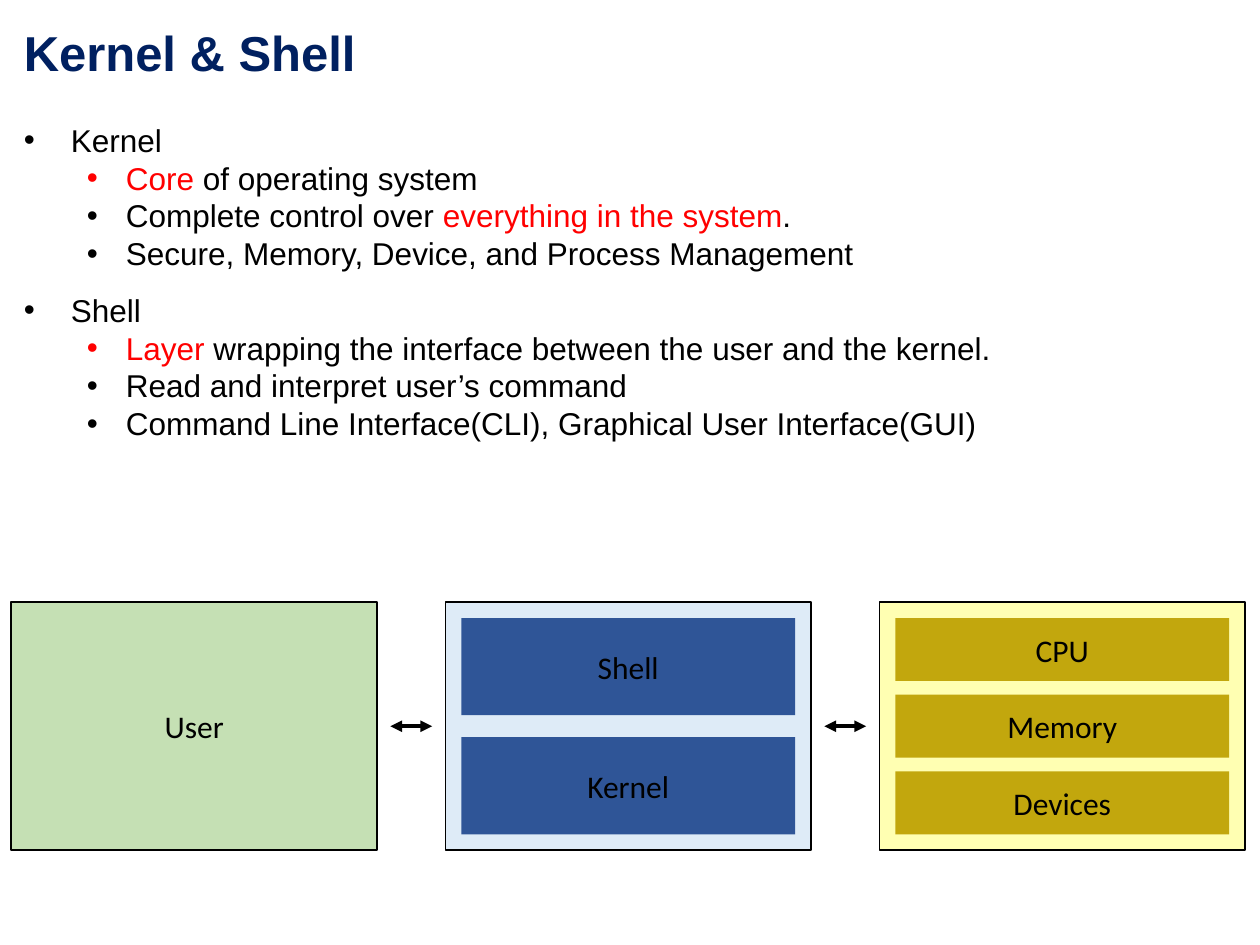
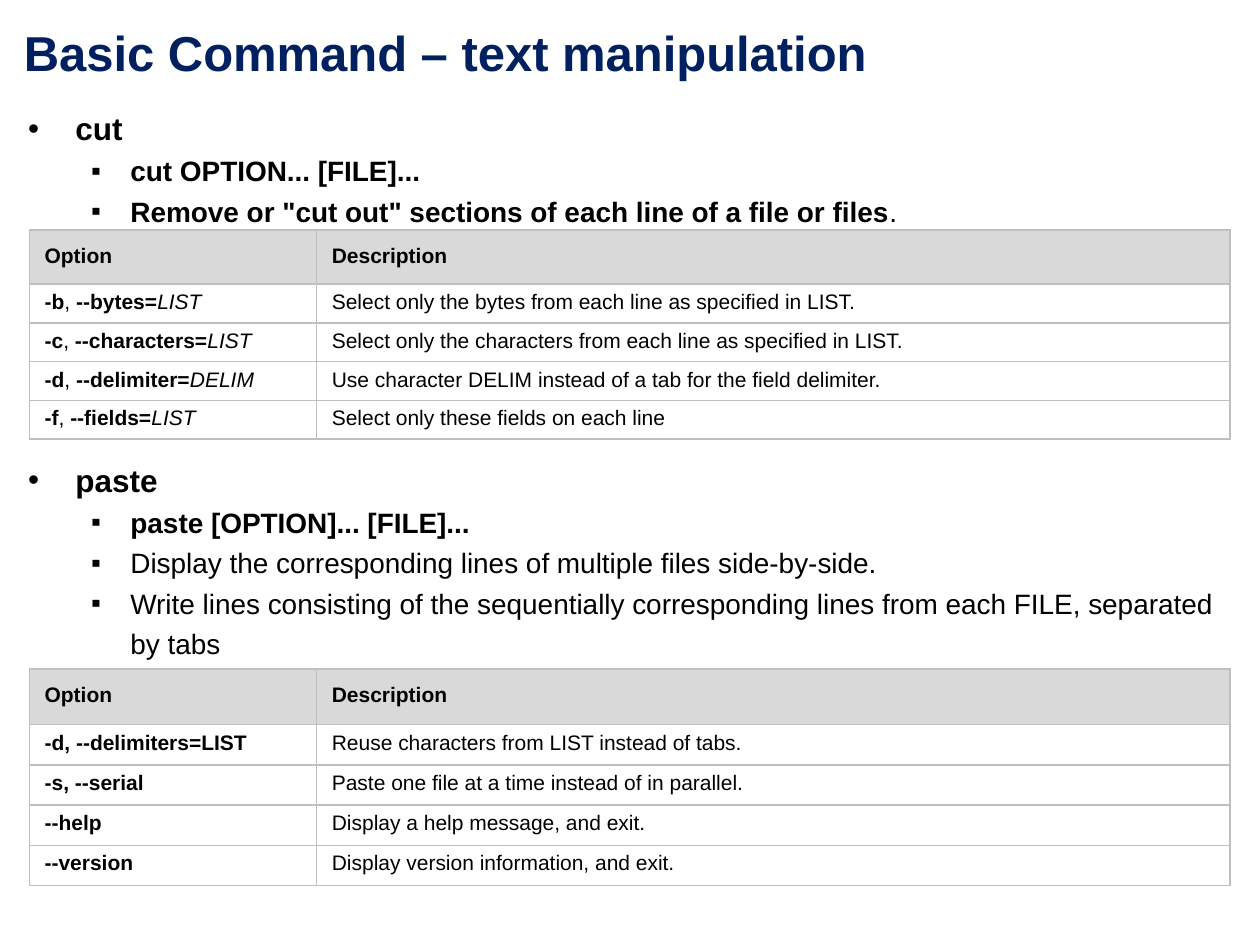
from lxml.etree import SubElement as Sub
from pptx import Presentation
from pptx.dml.color import RGBColor as Rgb
from pptx.enum.shapes import MSO_CONNECTOR as Line, MSO_SHAPE as Shape
from pptx.enum.text import MSO_ANCHOR as Anchor, PP_ALIGN as Align
from pptx.oxml.ns import qn
from pptx.util import Cm, Pt

# Content: a run is a string, or (string, marks) with b bold, i italic, r red
KERNEL = [
    (0, ["Kernel"]),
    (1, [("Core", "r"), " of operating system"]),
    (1, ["Complete control over ", ("everything in the system", "r"), "."]),
    (1, ["Secure, Memory, Device, and Process Management"]),
    (0, ["Shell"]),
    (1, [("Layer", "r"), " wrapping the interface between the user and the kernel."]),
    (1, ["Read and interpret user’s command"]),
    (1, ["Command Line Interface(CLI), Graphical User Interface(GUI)"]),
]
PANELS = [  # name, panel colour, part colour, part height, parts
    ("User", "green", None, 0, []),
    ("", "pale", "blue", 1.96, ["Shell", "Kernel"]),
    ("", "cream", "gold", 1.27, ["CPU", "Memory", "Devices"]),
]
COMMANDS = [
    (0, [("cut", "b")]),
    (1, [("cut OPTION... [FILE]...", "b")]),
    (1, [('Remove or "cut out" sections of each line of a file or files', "b"), "."]),
    (0, [("paste", "b")]),
    (1, [("paste [OPTION]... [FILE]...", "b")]),
    (1, ["Display the corresponding lines of multiple files side-by-side."]),
    (1, ["Write lines consisting of the sequentially corresponding lines "
         "from each FILE, separated by tabs"]),
]
HEAD = ([("Option", "b")], "Description")
CUT = [([(short, "b"), ", ", (long, "b"), (arg, "i")], note)
       for short, long, arg, note in [
    ("-b", "--bytes=", "LIST",
     "Select only the bytes from each line as specified in LIST."),
    ("-c", "--characters=", "LIST",
     "Select only the characters from each line as specified in LIST."),
    ("-d", "--delimiter=", "DELIM",
     "Use character DELIM instead of a tab for the field delimiter."),
    ("-f", "--fields=", "LIST", "Select only these fields on each line"),
]]
PASTE = [([(option, "b")], note) for option, note in [
    ("-d, --delimiters=LIST", "Reuse characters from LIST instead of tabs."),
    ("-s, --serial", "Paste one file at a time instead of in parallel."),
    ("--help", "Display a help message, and exit."),
    ("--version", "Display version information, and exit."),
]]

# Shared look
HUES = {"title": "002060", "text": "000000", "red": "FF0000", "green": "C5E0B4",
        "pale": "DEEBF7", "blue": "2F5597", "cream": "FFFFB2", "gold": "C2A70D",
        "grid": "BFBFBF", "head": "D9D9D9"}
INDENTS = [(0.95, 0.95), (2.06, 0.79)]  # left margin and hang of each level


def hue(name):
    return Rgb.from_string(HUES[name])


def write(para, runs, size=18, font="Arial", color="text", bold=False,
          align=None, space=None, before=None, mark=None, level=0):
    """Fill one paragraph with runs in the given format."""
    if mark:
        left, hang = INDENTS[level]
        para.level = level
        prop = para._p.get_or_add_pPr()
        prop.set("marL", str(Cm(left)))
        prop.set("indent", str(-Cm(hang)))
        Sub(prop, qn("a:buFont"), typeface="Arial")
        Sub(prop, qn("a:buChar"), char=mark)
    if align is not None:
        para.alignment = align
    if space:
        para.line_spacing = space
    if before:
        para.space_before = Pt(before)
    for item in [runs] if isinstance(runs, str) else runs:
        text, flags = (item, "") if isinstance(item, str) else item
        run = para.add_run()
        run.text = text
        run.font.size, run.font.name = Pt(size), font
        run.font.bold, run.font.italic = bold or "b" in flags, "i" in flags
        run.font.color.rgb = hue("red" if "r" in flags else color)


def frame(slide, x, y, w, h):
    body = slide.shapes.add_textbox(Cm(x), Cm(y), Cm(w), Cm(h)).text_frame
    body.word_wrap = True
    return body


def start(deck, title):
    slide = deck.slides.add_slide(deck.slide_layouts[6])
    write(frame(slide, 0.23, 0.33, 20.12, 1.45).paragraphs[0], title,
          size=28, color="title", bold=True)
    return slide


def outline(body, items, marks, sizes, spaces, before=None):
    for i, (level, runs) in enumerate(items):
        para = body.add_paragraph() if i else body.paragraphs[0]
        write(para, runs, size=sizes[level], space=spaces[level], level=level,
              mark=marks[level], before=before if i and not level else None)


def block(slide, x, y, w, h, fill, text="", edge=False):
    box = slide.shapes.add_shape(Shape.RECTANGLE, Cm(x), Cm(y), Cm(w), Cm(h))
    box.shadow.inherit = False
    box.fill.solid()
    box.fill.fore_color.rgb = hue(fill)
    if edge:
        box.line.color.rgb, box.line.width = hue("text"), Pt(1)
    else:
        box.line.fill.background()
    if text:
        box.text_frame.vertical_anchor = Anchor.MIDDLE
        write(box.text_frame.paragraphs[0], text, font="Calibri", align=Align.CENTER)


def arrow(slide, x, y, length):
    link = slide.shapes.add_connector(
        Line.STRAIGHT, Cm(x), Cm(y), Cm(x + length), Cm(y))
    link.line.color.rgb, link.line.width = hue("text"), Pt(2.25)
    for end in ("headEnd", "tailEnd"):
        Sub(link.line._get_or_add_ln(), qn(f"a:{end}"), type="triangle")
    Sub(link._element.spPr, qn("a:effectLst"))


def diagram(slide, left=0.23, top=12.14, wide=7.37, high=5, step=8.75):
    pad, length = 0.32, 0.84
    for i, (name, fill, part, tall, names) in enumerate(PANELS):
        x = left + i * step
        block(slide, x, top, wide, high, fill, name, edge=True)
        for j, text in enumerate(names):
            pitch = (high - 2 * pad - tall) / (len(names) - 1)
            block(slide, x + pad, top + pad + j * pitch,
                  wide - 2 * pad, tall, part, text)
    for i in range(len(PANELS) - 1):
        gap = step - wide
        arrow(slide, left + i * step + wide + (gap - length) / 2,
              top + high / 2, length)


def edge(cell):
    prop = cell._tc.get_or_add_tcPr()
    for side in ("lnL", "lnR", "lnT", "lnB"):
        line = Sub(prop, qn(f"a:{side}"), w=str(Pt(1)))
        fill = Sub(line, qn("a:solidFill"))
        Sub(fill, qn("a:srgbClr"), val=HUES["grid"])


def grid(slide, top, rows, first, other):
    """Draw an option table with a header of its own height."""
    rows = [HEAD] + rows
    widths = (5.79, 18.42)
    heights = [first] + [other] * (len(rows) - 1)
    table = slide.shapes.add_table(
        len(rows), len(widths), Cm(0.59), Cm(top),
        Cm(sum(widths)), Cm(sum(heights))).table
    table.first_row = table.horz_banding = False
    for col, wide in zip(table.columns, widths):
        col.width = Cm(wide)
    for r, (row, high) in enumerate(zip(rows, heights)):
        table.rows[r].height = Cm(high)
        for c, runs in enumerate(row):
            cell = table.cell(r, c)
            edge(cell)
            cell.margin_left = cell.margin_right = Cm(0.31)
            cell.margin_top = cell.margin_bottom = Cm(0.13 if r else 0.28)
            if r:
                cell.fill.background()
            else:
                cell.fill.solid()
                cell.fill.fore_color.rgb = hue("head")
            write(cell.text_frame.paragraphs[0], runs, size=12, bold=r == 0)


def main():
    deck = Presentation()
    deck.slide_width, deck.slide_height = Cm(25.4), Cm(19.05)

    # Kernel and shell
    slide = start(deck, "Kernel & Shell")
    outline(frame(slide, 0.23, 1.93, 24.87, 7.19), KERNEL,
            marks="••", sizes=(18, 18), spaces=(1.5, 1.0))
    diagram(slide)

    # Text commands: the space before "paste" leaves room for the first table
    slide = start(deck, "Basic Command – text manipulation")
    grid(slide, 4.64, CUT, first=1.09, other=0.78)
    outline(frame(slide, 0.32, 1.93, 24.77, 11.56), COMMANDS,
            marks="•▪", sizes=(18, 16), spaces=(1.2, 1.2), before=129)
    grid(slide, 13.49, PASTE, first=1.12, other=0.81)

    deck.save("out.pptx")


if __name__ == "__main__":
    main()
